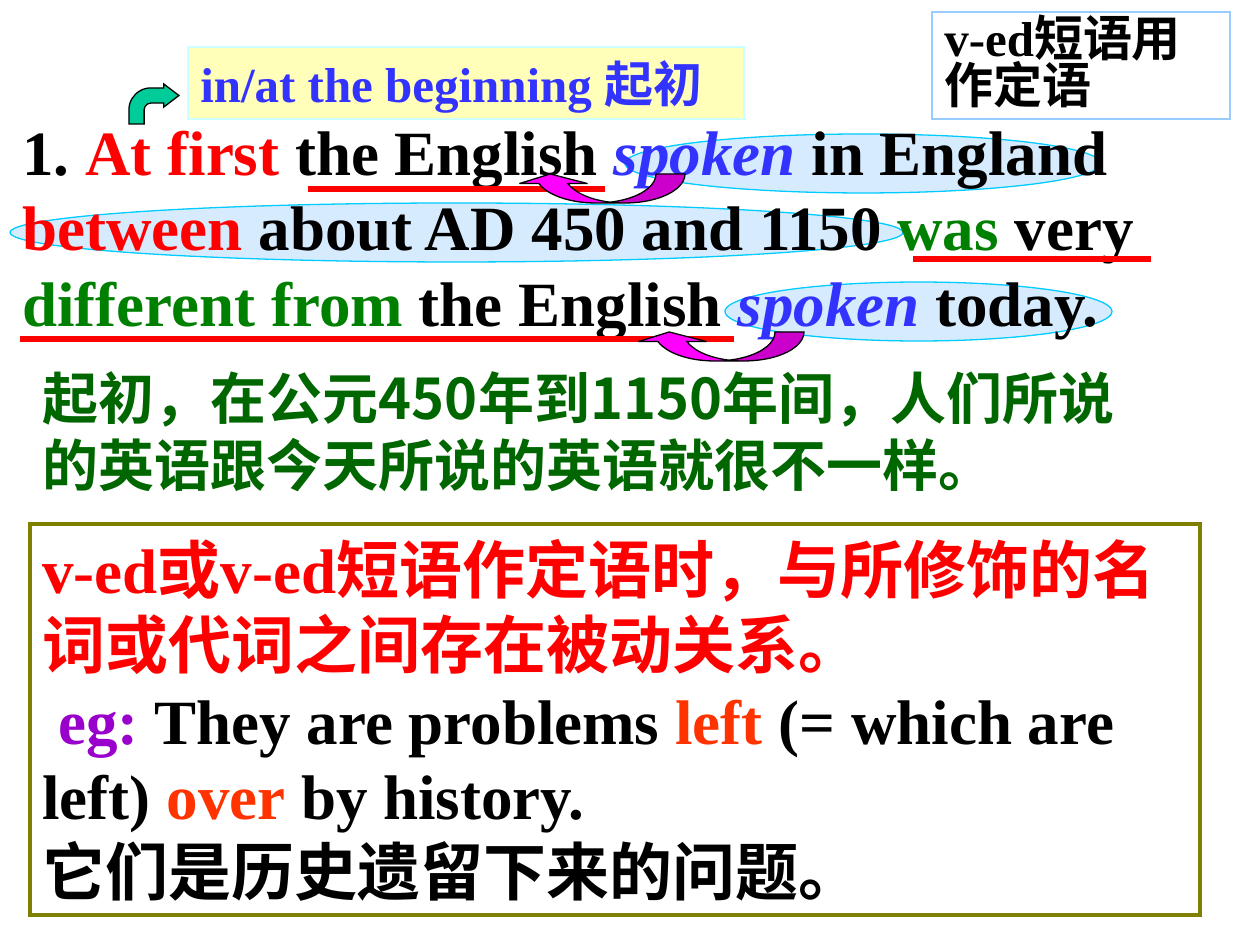
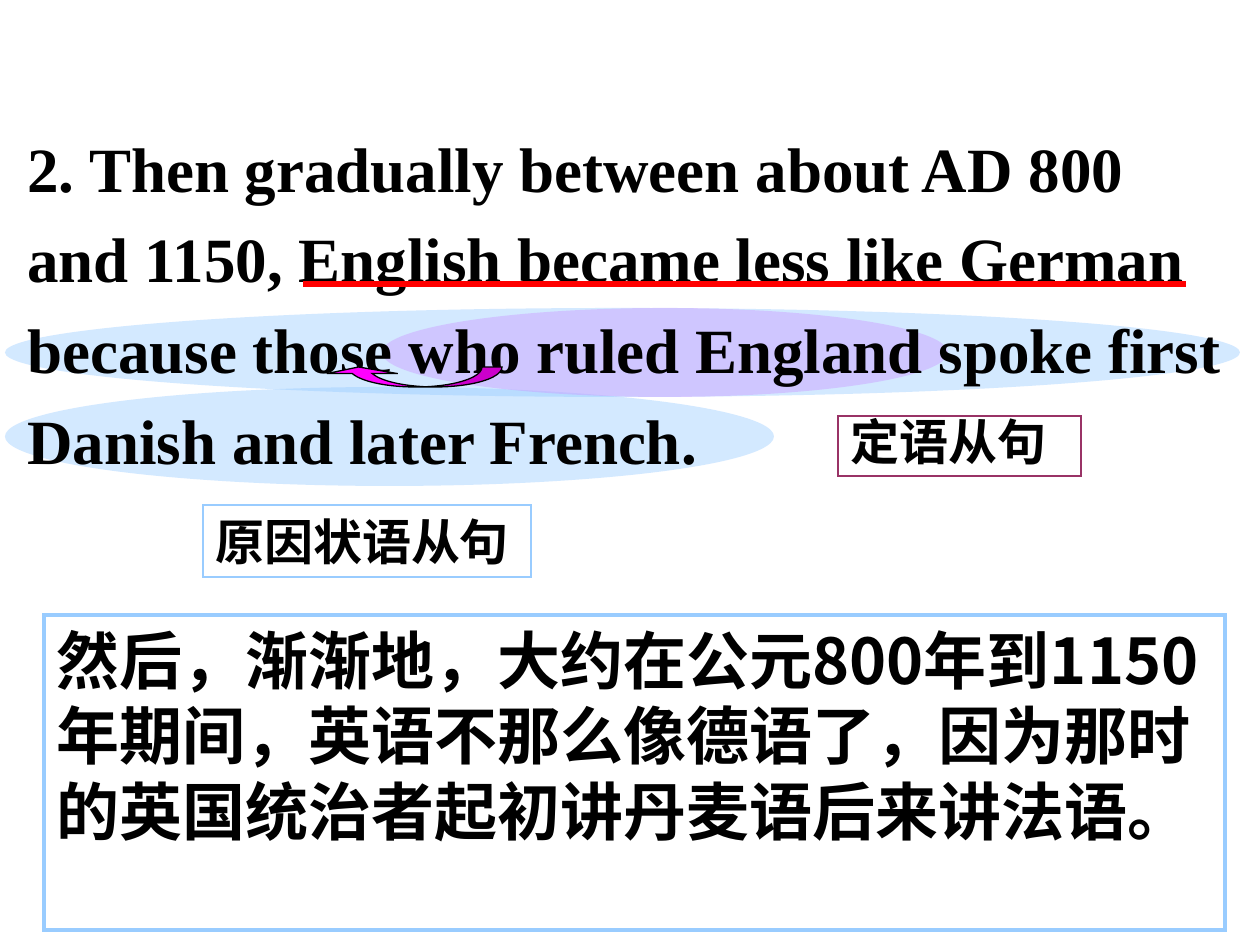
from pptx import Presentation
from pptx.dml.color import RGBColor
from pptx.enum.shapes import MSO_CONNECTOR as Connector, MSO_SHAPE as Shape
from pptx.enum.text import MSO_ANCHOR as Anchor, MSO_AUTO_SIZE as AutoSize, PP_ALIGN as Align
from pptx.oxml.ns import qn
from pptx.util import Pt
from lxml.etree import SubElement

PX = 914400 / 126
SERIF = "Times New Roman"
SANS = "Noto Sans CJK SC"

BLACK = RGBColor(0x00, 0x00, 0x00)
WHITE = RGBColor(0xFF, 0xFF, 0xFF)
RED = RGBColor(0xFF, 0x00, 0x00)
BLUE = RGBColor(0x33, 0x33, 0xFF)
GREEN = RGBColor(0x00, 0x80, 0x00)
DARK_GREEN = RGBColor(0x00, 0x66, 0x00)
PURPLE = RGBColor(0x99, 0x00, 0xCC)
ORANGE = RGBColor(0xFF, 0x33, 0x00)
SKY = RGBColor(0x99, 0xCC, 0xFF)
LILAC = RGBColor(0xCC, 0x99, 0xFF)
CYAN = RGBColor(0x00, 0xCC, 0xFF)
PALE_CYAN = RGBColor(0xCC, 0xFF, 0xFF)
YELLOW = RGBColor(0xFF, 0xFF, 0x99)
OLIVE = RGBColor(0x80, 0x80, 0x00)
PLUM = RGBColor(0x99, 0x33, 0x66)
TEAL = RGBColor(0x00, 0xCC, 0x99)
MAGENTA = RGBColor(0xFF, 0x00, 0xFF)

SPOKEN = {"italic": True}


def add_figure(slide, preset, box, fill=None, opacity=100, border=None):
    figure = slide.shapes.add_shape(preset, *[round(v * PX) for v in box])
    figure.shadow.inherit = False
    if fill is None:
        figure.fill.background()
    else:
        figure.fill.solid()
        figure.fill.fore_color.rgb = fill
        if opacity < 100:
            tint = figure.fill._xPr.find(".//" + qn("a:srgbClr"))
            SubElement(tint, qn("a:alpha"), val=str(opacity * 1000))
    if border is None:
        figure.line.fill.background()
    else:
        figure.line.color.rgb = border[0]
        figure.line.width = Pt(border[1])
        SubElement(figure.line._get_or_add_ln(), qn("a:miter"), lim="800000")
    return figure


def add_passage(slide, box, paragraphs, size=36, name=SERIF, spacing=1.0,
                anchor=Anchor.TOP, indents=(), **frame_style):
    if frame_style:
        passage = add_figure(slide, Shape.RECTANGLE, box, **frame_style)
    else:
        passage = slide.shapes.add_textbox(*[round(v * PX) for v in box])
    frame = passage.text_frame
    frame.word_wrap = True
    frame.auto_size = AutoSize.SHAPE_TO_FIT_TEXT
    frame.vertical_anchor = anchor
    for number, pieces in enumerate(paragraphs):
        paragraph = frame.add_paragraph() if number else frame.paragraphs[0]
        paragraph.alignment = Align.LEFT
        paragraph.line_spacing = spacing
        if number in indents:
            paragraph._p.get_or_add_pPr().set("indent", str(round(16 * PX)))
        for words, color, *extra in pieces:
            run = paragraph.add_run()
            run.text = words
            formats = {"name": name, "size": Pt(size), "bold": True}
            for style in [formats, *extra]:
                for key, value in style.items():
                    setattr(run.font, key, value)
            run.font.color.rgb = color
            SubElement(run._r.get_or_add_rPr(), qn("a:ea"), typeface=SANS)


pages = [
    {
        "highlights": [((625, 134, 476, 59), SKY), ((10, 203, 893, 59), SKY),
                       ((725, 282, 387, 59), SKY)],
        "opacity": 39,
        "rim": (CYAN, 0.75),
        "sentence": dict(box=(10, 106, 1245, 315), paragraphs=[
            [("1. ", BLACK), ("At first", RED), (" the English ", BLACK),
             ("spoken", BLUE, SPOKEN), (" in England", BLACK)],
            [("between ", RED), ("about AD 450 and 1150 ", BLACK), ("was ", GREEN),
             ("very ", BLACK), ("different from", GREEN), (" the English ", BLACK),
             ("spoken ", BLUE, SPOKEN), ("today.", BLACK)]]),
        "underlines": [(308, 605, 189), (913, 1151, 259), (20, 734, 339)],
        "arrows": [
            (Shape.BENT_ARROW, (129, 84, 50, 40), 0, TEAL, (0.38, 0.29, 0.38, 0.55)),
            (Shape.CURVED_DOWN_ARROW, (516, 174, 169, 29), 180, MAGENTA,
             (1.17, 2.35, 0.33)),
            (Shape.CURVED_DOWN_ARROW, (635, 332, 169, 29), 180, MAGENTA,
             (1.17, 2.35, 0.33))],
        "notes": [
            dict(box=(188, 47, 556, 72), size=28, fill=YELLOW, opacity=68,
                 border=(PALE_CYAN, 0.75),
                 paragraphs=[[("in/at the beginning 起初", BLUE)]]),
            dict(box=(932, 12, 298, 107), size=28, spacing=0.8, anchor=Anchor.MIDDLE,
                 fill=WHITE, border=(SKY, 0.75),
                 paragraphs=[[("v-ed短语用作定语", BLACK)]]),
            dict(box=(30, 524, 1170, 391), border=(OLIVE, 2), indents=(1,), paragraphs=[
                [("v-ed或v-ed短语作定语时，与所修饰的名词或代词之间存在被动关系。", RED)],
                [("eg: ", PURPLE), ("They are problems ", BLACK), ("left", ORANGE),
                 (" (= which are left) ", BLACK), ("over", ORANGE),
                 (" by history.", BLACK)],
                [("它们是历史遗留下来的问题。", BLACK)]]),
            dict(box=(30, 357, 1142, 147), size=32, name=SANS, paragraphs=[
                [("起初，在公元450年到1150年间，人们所说的英语跟今天所说的英语就很不一样。",
                  DARK_GREEN)]]),
        ],
    },
    {
        "highlights": [((5, 308, 1235, 89), SKY), ((5, 387, 769, 99), SKY),
                       ((382, 308, 566, 89), LILAC)],
        "opacity": 43,
        "rim": None,
        "sentence": dict(box=(15, 108, 1231, 375), spacing=1.2, paragraphs=[
            [("2. Then gradually between about AD 800 and 1150, English became less "
              "like German because those who ruled England spoke first Danish and "
              "later French.", BLACK)]]),
        "underlines": [(303, 1186, 284)],
        "arrows": [(Shape.CURVED_DOWN_ARROW, (323, 367, 179, 20), 180, MAGENTA,
                    (1.8, 3.55, 0.33))],
        "notes": [
            dict(box=(44, 615, 1181, 315), name=SANS, border=(SKY, 2.5), paragraphs=[
                [("然后，渐渐地，大约在公元800年到1150年期间，英语不那么像德语了，"
                  "因为那时的英国统治者起初讲丹麦语后来讲法语。", BLACK)]]),
            dict(box=(203, 505, 328, 72), size=28, anchor=Anchor.MIDDLE, fill=WHITE,
                 border=(SKY, 0.75), paragraphs=[[("原因状语从句", BLACK)]]),
            dict(box=(838, 416, 243, 60), size=28, spacing=0.8, anchor=Anchor.MIDDLE,
                 fill=WHITE, border=(PLUM, 0.75), paragraphs=[[("定语从句", BLACK)]]),
        ],
    },
]

deck = Presentation()
deck.slide_width = round(1260 * PX)
deck.slide_height = round(945 * PX)

for page in pages:
    slide = deck.slides.add_slide(deck.slide_layouts[6])

    for box, color in page["highlights"]:
        add_figure(slide, Shape.OVAL, box, color, page["opacity"], page["rim"])

    add_passage(slide, **page["sentence"])

    for start, end, y in page["underlines"]:
        underline = slide.shapes.add_connector(
            Connector.STRAIGHT, *[round(v * PX) for v in (start, y, end, y)])
        underline.line.color.rgb = RED
        underline.line.width = Pt(3)
        SubElement(underline._element.spPr, qn("a:effectLst"))

    for preset, box, turn, color, bends in page["arrows"]:
        arrow = add_figure(slide, preset, box, color, border=(BLACK, 0.75))
        arrow.rotation = turn
        for number, bend in enumerate(bends):
            arrow.adjustments[number] = bend

    for note in page["notes"]:
        add_passage(slide, **note)

deck.save("out.pptx")
